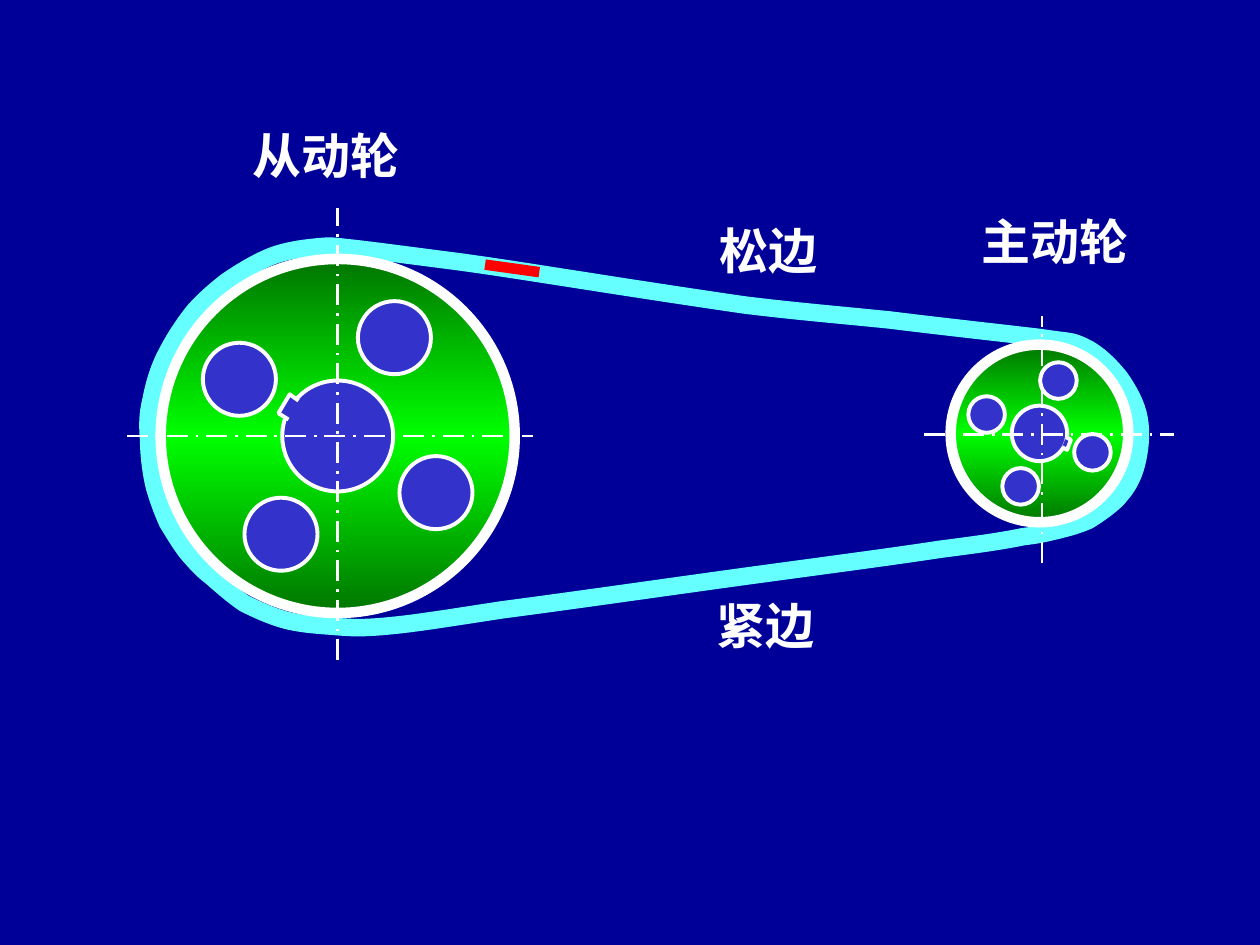
from copy import deepcopy

from lxml import etree
from pptx import Presentation
from pptx.dml.color import RGBColor
from pptx.enum.dml import MSO_LINE
from pptx.enum.shapes import MSO_CONNECTOR, MSO_SHAPE
from pptx.enum.text import MSO_AUTO_SIZE, PP_ALIGN
from pptx.oxml.ns import qn
from pptx.util import Inches, Pt

NAVY = RGBColor(0x00, 0x00, 0x99)
CYAN = RGBColor(0x66, 0xFF, 0xFF)
WHITE = RGBColor(0xFF, 0xFF, 0xFF)
VIOLET = RGBColor(0x33, 0x33, 0xCC)
DARK_GREEN = RGBColor(0x00, 0x75, 0x00)
GREEN = RGBColor(0x00, 0xFF, 0x00)
RED = RGBColor(0xFF, 0x00, 0x00)

FONT = "Times New Roman"
LABEL_HEIGHT = 0.57

# Belt outline: a start point, then Bezier segments (two controls and an end)
BELT_START = (8.26, 2.68)
BELT_CURVES = [
    ((8.01, 2.65), (7.46, 2.59), (7.06, 2.54)),
    ((6.67, 2.5), (6.3, 2.47), (5.9, 2.42)),
    ((5.49, 2.36), (5.03, 2.29), (4.65, 2.23)),
    ((4.26, 2.17), (3.89, 2.11), (3.58, 2.07)),
    ((3.27, 2.03), (2.97, 1.99), (2.79, 1.97)),
    ((2.61, 1.95), (2.63, 1.95), (2.52, 1.96)),
    ((2.41, 1.97), (2.26, 1.99), (2.14, 2.04)),
    ((2.02, 2.09), (1.89, 2.17), (1.79, 2.24)),
    ((1.69, 2.32), (1.62, 2.38), (1.54, 2.47)),
    ((1.46, 2.57), (1.38, 2.69), (1.32, 2.81)),
    ((1.26, 2.92), (1.22, 3.06), (1.2, 3.17)),
    ((1.17, 3.29), (1.17, 3.37), (1.18, 3.49)),
    ((1.18, 3.61), (1.2, 3.77), (1.23, 3.88)),
    ((1.26, 3.98), (1.29, 4.06), (1.33, 4.15)),
    ((1.38, 4.23), (1.42, 4.3), (1.48, 4.38)),
    ((1.54, 4.45), (1.6, 4.52), (1.68, 4.58)),
    ((1.76, 4.65), (1.85, 4.73), (1.94, 4.79)),
    ((2.04, 4.84), (2.15, 4.89), (2.26, 4.92)),
    ((2.37, 4.95), (2.49, 4.96), (2.63, 4.97)),
    ((2.76, 4.98), (2.84, 4.99), (3.06, 4.97)),
    ((3.29, 4.95), (3.53, 4.91), (3.99, 4.84)),
    ((4.45, 4.78), (5.22, 4.67), (5.8, 4.59)),
    ((6.38, 4.51), (7.07, 4.42), (7.46, 4.36)),
    ((7.85, 4.31), (7.97, 4.29), (8.12, 4.26)),
    ((8.28, 4.24), (8.3, 4.23), (8.39, 4.21)),
    ((8.47, 4.19), (8.55, 4.17), (8.64, 4.13)),
    ((8.72, 4.08), (8.84, 4), (8.9, 3.92)),
    ((8.97, 3.84), (9.01, 3.74), (9.03, 3.64)),
    ((9.05, 3.54), (9.06, 3.43), (9.04, 3.32)),
    ((9.02, 3.21), (8.96, 3.1), (8.89, 3)),
    ((8.81, 2.9), (8.71, 2.8), (8.6, 2.75)),
    ((8.49, 2.7), (8.52, 2.72), (8.26, 2.68)),
]

# The four holes of a wheel are quarter turns of one offset from its centre
WHEELS = [
    dict(centre=(8.25, 3.44), rim=1.41, hub=0.44, hole=0.29, hole_offset=(0.42, 0.15),
         keyway=[(8.46, 3.47), (8.5, 3.49), (8.47, 3.57), (8.43, 3.55)]),
    dict(centre=(2.68, 3.46), rim=2.81, hub=0.88, hole=0.58, hole_offset=(0.78, 0.45),
         keyway=[(2.29, 3.33), (2.21, 3.28), (2.3, 3.13), (2.37, 3.18)]),
]

CENTRE_LINES = [
    ((1.01, 3.46), (4.23, 3.46)),
    ((2.68, 5.24), (2.68, 1.65)),
    ((7.33, 3.45), (9.32, 3.45)),
    ((8.27, 4.47), (8.27, 2.51)),
]
BELT_MARK = ((3.85, 2.1), (4.28, 2.16))

# text, left, top, width
LABELS = [
    ("主动轮 ", 7.55, 1.63, 1.74),
    ("从动轮 ", 1.76, 0.95, 1.74),
    ("松边 ", 5.55, 1.7, 1.18),
    ("紧边 ", 5.53, 4.68, 1.18),
]


def outline(shape, color, points):
    shape.shadow.inherit = False
    shape.line.color.rgb = color
    shape.line.width = Pt(points)


def fill_violet(shape):
    shape.fill.solid()
    shape.fill.fore_color.rgb = VIOLET
    outline(shape, WHITE, 2.25)


def fill_sheen(shape):
    """Vertical gradient: dark green, bright green, dark green."""
    shape.fill.gradient()
    shape.fill.gradient_angle = 90
    stops = shape.fill.gradient_stops
    for stop, color, position in zip(stops, (DARK_GREEN, GREEN), (0, 0.5)):
        stop.color.rgb = color
        stop.position = position
    stop_list = shape._element.spPr.find(".//" + qn("a:gsLst"))
    last = deepcopy(stop_list[0])
    last.set("pos", "100000")
    stop_list.append(last)


def add_polyline(shapes, points, close):
    """Draw in whole EMU, as the builder rounds every point to an integer."""
    start, *rest = [(Inches(x), Inches(y)) for x, y in points]
    builder = shapes.build_freeform(*start)
    builder.add_line_segments(rest, close=close)
    return builder.convert_to_shape()


def add_belt(shapes):
    """Outline the belt, turning each three line segments into one curve."""
    points = [BELT_START] + [point for curve in BELT_CURVES for point in curve]
    belt = add_polyline(shapes, points, close=True)
    path = belt._element.spPr.find(".//" + qn("a:path"))
    segments = path.findall(qn("a:lnTo"))[:3 * len(BELT_CURVES)]
    for first in range(0, len(segments), 3):
        curve = etree.Element(qn("a:cubicBezTo"))
        segments[first].addprevious(curve)
        for segment in segments[first:first + 3]:
            curve.append(segment[0])
            path.remove(segment)
    belt.fill.background()
    outline(belt, CYAN, 10)


def add_disc(shapes, x, y, diameter):
    return shapes.add_shape(MSO_SHAPE.OVAL, Inches(x - diameter / 2), Inches(y - diameter / 2),
                            Inches(diameter), Inches(diameter))


def add_wheel(slide, centre, rim, hub, hole, hole_offset, keyway):
    shapes = slide.shapes.add_group_shape().shapes
    x, y = centre
    rim_disc = add_disc(shapes, x, y, rim)
    fill_sheen(rim_disc)
    outline(rim_disc, WHITE, 6)
    dx, dy = hole_offset
    for _ in range(4):
        fill_violet(add_disc(shapes, x + dx, y + dy, hole))
        dx, dy = -dy, dx
    fill_violet(add_disc(shapes, x, y, hub))
    fill_violet(add_polyline(shapes, keyway, close=False))


def add_line(shapes, ends, color, points):
    start, end = ends
    line = shapes.add_connector(MSO_CONNECTOR.STRAIGHT, *map(Inches, start + end))
    line.line.color.rgb = color
    line.line.width = Pt(points)
    etree.SubElement(line._element.spPr, qn("a:effectLst"))
    return line


def add_label(shapes, text, left, top, width):
    label = shapes.add_textbox(*map(Inches, (left, top, width, LABEL_HEIGHT)))
    frame = label.text_frame
    frame.word_wrap = True
    frame.auto_size = MSO_AUTO_SIZE.SHAPE_TO_FIT_TEXT
    paragraph = frame.paragraphs[0]
    paragraph.alignment = PP_ALIGN.CENTER
    run = paragraph.add_run()
    run.text = text
    run.font.name = FONT
    run.font.size = Pt(28)
    run.font.bold = True
    run.font.color.rgb = WHITE


def main():
    deck = Presentation()
    deck.slide_width, deck.slide_height = Inches(10), Inches(7.5)
    slide = deck.slides.add_slide(deck.slide_layouts[6])
    slide.background.fill.solid()
    slide.background.fill.fore_color.rgb = NAVY

    add_belt(slide.shapes)
    for wheel in WHEELS:
        add_wheel(slide, **wheel)
    for ends in CENTRE_LINES:
        add_line(slide.shapes, ends, WHITE, 1.5).line.dash_style = MSO_LINE.LONG_DASH_DOT
    add_line(slide.shapes, BELT_MARK, RED, 6)
    for label in LABELS:
        add_label(slide.shapes, *label)
    deck.save("out.pptx")


if __name__ == "__main__":
    main()
